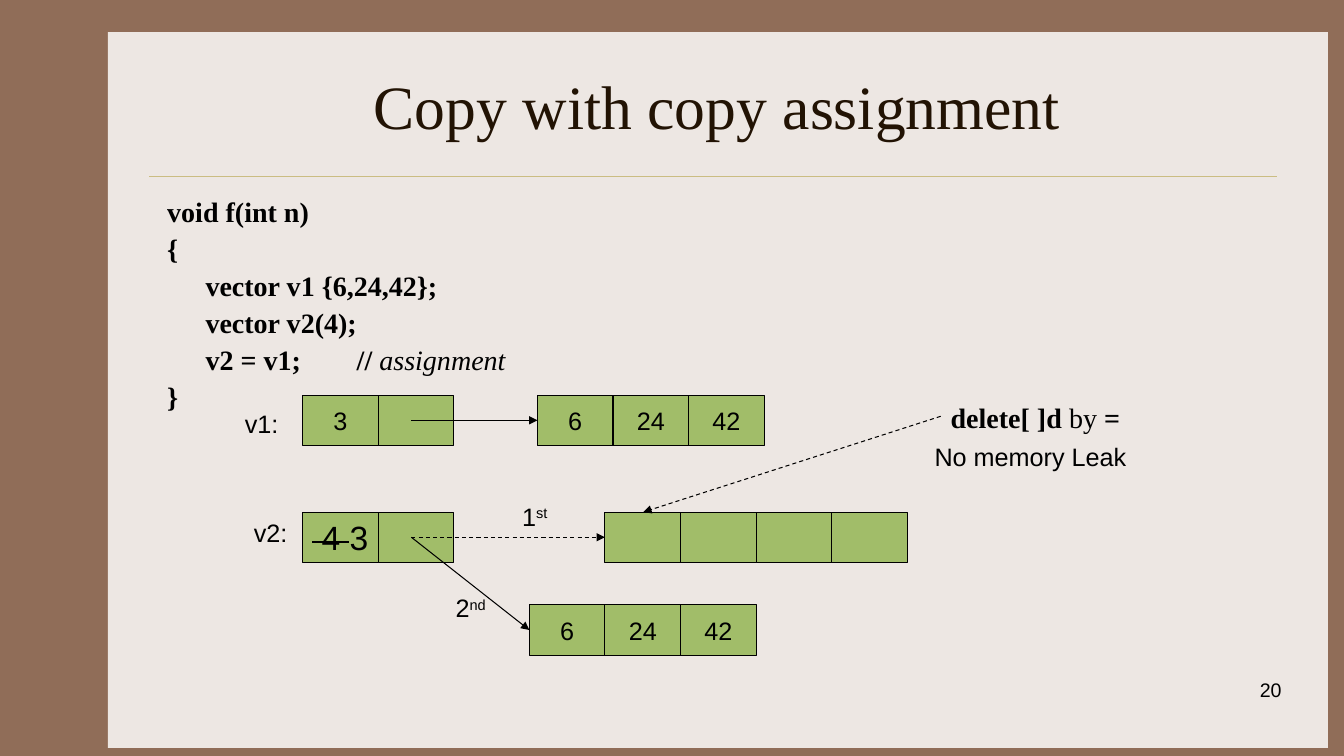
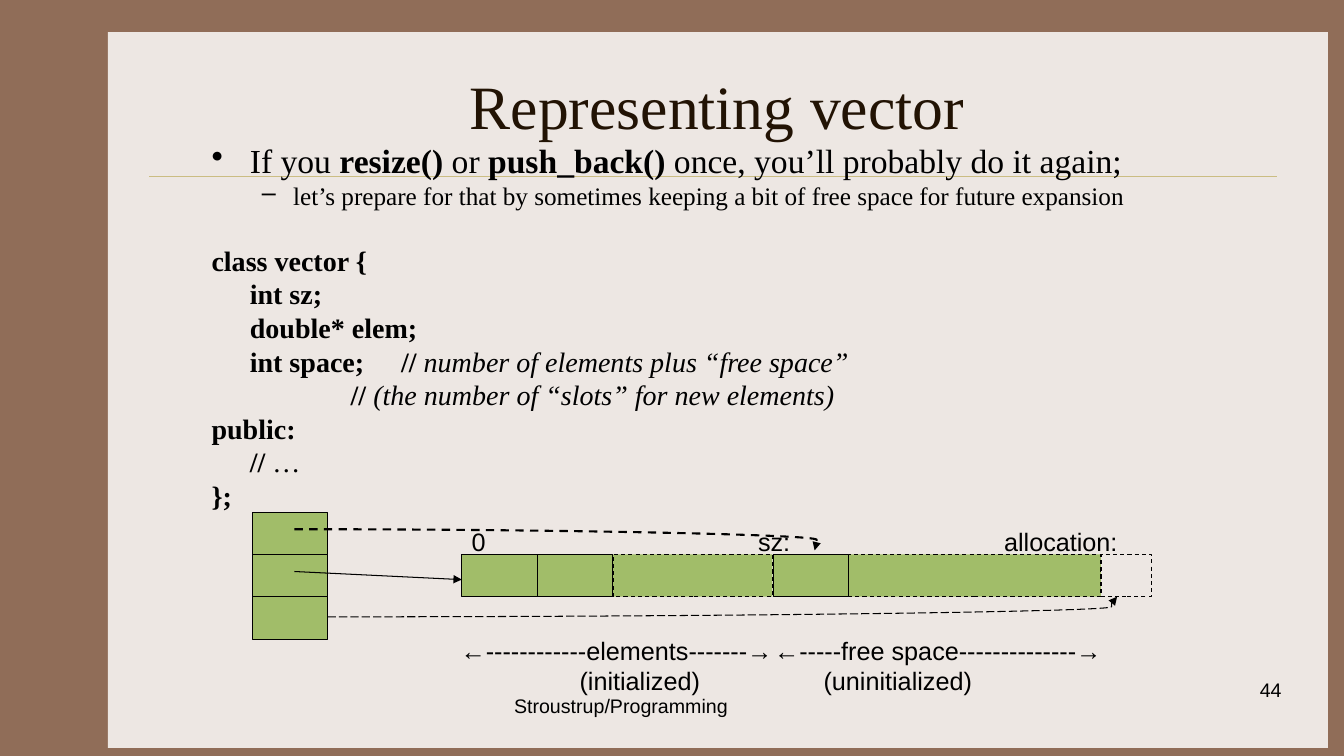
from dataclasses import dataclass
from lxml import etree
from pptx import Presentation
from pptx.dml.color import RGBColor
from pptx.enum.dml import MSO_LINE
from pptx.enum.shapes import MSO_CONNECTOR as CONN, MSO_SHAPE as SHAPE
from pptx.enum.text import MSO_ANCHOR as ANCHOR, PP_ALIGN as ALIGN
from pptx.oxml.ns import qn
from pptx.util import Inches, Pt


@dataclass(frozen=True)
class Theme:
    """Colours, fonts and type sizes of the deck."""
    frame: RGBColor = RGBColor.from_string("906D58")
    panel: RGBColor = RGBColor.from_string("EDE7E3")
    rule: RGBColor = RGBColor.from_string("CBBD83")
    title: RGBColor = RGBColor.from_string("221304")
    ink: RGBColor = RGBColor.from_string("000000")
    cell: RGBColor = RGBColor.from_string("A1BD69")
    serif: str = "Times New Roman"
    sans: str = "Arial"
    title_size: int = 44
    lead_size: int = 24
    code_size: int = 20
    label_size: int = 18
    small_size: int = 14


T = Theme()
MARKS = {"s": ("strike", "sngStrike"), "^": ("baseline", "30000")}


def write(tf, paras, size=T.label_size, name=T.sans, color=T.ink, align=ALIGN.LEFT):
    """Fill a text frame; a paragraph is a list of (text, marks) runs."""
    for n, runs in enumerate(paras):
        p = tf.add_paragraph() if n else tf.paragraphs[0]
        p.alignment = align
        for text, marks in runs:
            r = p.add_run()
            r.text = text
            for key, value in dict(size=Pt(size), name=name, bold="b" in marks,
                                   italic="i" in marks).items():
                setattr(r.font, key, value)
            r.font.color.rgb = color
            for mark in set(marks) & set(MARKS):
                r._r.get_or_add_rPr().set(*MARKS[mark])


def cell(s, left, top, width=0.75, height=0.5, runs=(), fill=T.cell, dash=None):
    """Draw one memory cell with optional centred text."""
    sp = s.shapes.add_shape(SHAPE.RECTANGLE, *map(Inches, (left, top, width, height)))
    sp.shadow.inherit = False
    if fill is None:
        sp.fill.background()
    else:
        sp.fill.solid()
        sp.fill.fore_color.rgb = fill
    sp.line.color.rgb = T.ink
    sp.line.width = Pt(0.75)
    if dash:
        sp.line.dash_style = dash
    if runs:
        tf = sp.text_frame
        tf.word_wrap = False
        tf.vertical_anchor = ANCHOR.MIDDLE
        write(tf, [runs], align=ALIGN.CENTER)
    return sp


prs = Presentation()
prs.slide_width, prs.slide_height = Inches(13.33), Inches(7.5)
layout = prs.slide_layouts[5]
fill = prs.slide_master.background.fill
fill.solid()
fill.fore_color.rgb = T.frame

# Titles and page numbers
slides = []
for title, number in (("Copy with copy assignment", "20"), ("Representing vector", "44")):
    s = prs.slides.add_slide(layout)
    sp = s.shapes.title
    for key, value in dict(left=1.56, top=0.42, width=11.11, height=1.25).items():
        setattr(sp, key, Inches(value))
    sp.text_frame.vertical_anchor = ANCHOR.MIDDLE
    write(sp.text_frame, [[(title, "")]], T.title_size, T.serif, T.title, ALIGN.CENTER)
    tf = s.shapes.add_textbox(*map(Inches, (10.03, 6.68, 2.78, 0.5))).text_frame
    tf.word_wrap = True
    write(tf, [[(number, "")]], T.small_size, align=ALIGN.RIGHT)
    slides.append(s)
assign, represent = slides

# Panel and title rule, moved to the shared layout
panel = cell(assign, 1.07, 0.32, 12.1, 7.1, fill=T.panel)
panel.line.fill.background()
rule = assign.shapes.add_connector(CONN.STRAIGHT, *map(Inches, (1.48, 1.75, 12.67, 1.75)))
rule.line.color.rgb = T.rule
rule.line.width = Pt(0.25)
etree.SubElement(rule.element.spPr, qn("a:effectLst"))
for place, sp in enumerate((panel, rule), start=2):
    layout.shapes.element.insert(place, sp.element)

# Code listings
assign_code = [
    [("void f(int n)", "b")],
    [("{", "b")],
    [("\tvector v1 {6,24,42};", "b")],
    [("\tvector v2(4);", "b")],
    [("\tv2 = v1;\t\t// ", "b"), ("assignment", "i")],
    [("}", "b")],
]
represent_code = [
    [("If you", ""), (" resize() ", "b"), ("or ", ""), ("push_back() ", "b"),
     ("once, you’ll probably do it again;", "")],
    [("let’s prepare for that by sometimes keeping a bit of free space "
      "for future expansion", "")],
    [("class vector {", "b")],
    [("\tint sz;", "b")],
    [("\tdouble* elem;", "b")],
    [("\tint space;\t// ", "b"), ("number of elements plus “free space”", "i")],
    [("\t\t\t// ", "b"), ("(the number of “slots” for new elements)", "i")],
    [("public:", "b")],
    [("\t// ", "b"), ("…", "")],
    [("};", "b")],
]
bodies = []
for s, at, paras, leading in (
        (assign, (1.56, 1.92, 11.11, 4.5), assign_code, 0.9),
        (represent, (2, 1.42, 9.5, 3.83), represent_code, 0.8)):
    tf = s.shapes.add_textbox(*map(Inches, at)).text_frame
    tf.word_wrap = True
    write(tf, paras, T.code_size, T.serif)
    for n, p in enumerate(tf.paragraphs):
        p.line_spacing = leading
        p.space_before = Pt(4.8 if n else 0)
        pPr = p._p.get_or_add_pPr()
        pPr.set("marL", str(Inches(0.38)))
        pPr.set("indent", str(Inches(-0.38)))
    bodies.append(tf.paragraphs)

lead, detail, class_line = bodies[1][:3]
class_line.space_before = Pt(28)
detail.level = 1
detail.space_before = Pt(4.3)
for p, size, margin, hang, bullet in ((lead, T.lead_size, 0.38, 0.38, "•"),
                                      (detail, T.label_size, 0.81, 0.31, "–")):
    for r in p.runs:
        r.font.size = Pt(size)
    pPr = p._p.get_or_add_pPr()
    pPr.set("marL", str(Inches(margin)))
    pPr.set("indent", str(Inches(-hang)))
    etree.SubElement(pPr, qn("a:buChar")).set("char", bullet)

# Vector headers and element rows
for left, top, values in ((3, 3.92, ("3", "")), (5.33, 3.92, ("6", "24", "42")),
                          (3, 5.08, ("4", "")), (6, 5.08, ("",) * 4),
                          (5.25, 6, ("6", "24", "42"))):
    for n, value in enumerate(values):
        runs = [(value, "")] if value else ()
        if value == "4":
            runs = [(" 4 ", "s"), ("3", "")]
        sp = cell(assign, left + 0.75 * n, top, runs=runs)
        if value == "4":
            for r in sp.text_frame.paragraphs[0].runs:
                r.font.size = Pt(T.lead_size)

for n in range(3):
    cell(represent, 2.5, 5.08 + 0.42 * n, height=0.42)
for left, width, color, dash in (
        (4.58, 0.75, T.cell, None), (5.33, 0.75, T.cell, None),
        (6.08, 1.58, T.cell, MSO_LINE.DASH), (8.42, 2.5, T.cell, MSO_LINE.DASH),
        (7.67, 0.75, T.cell, None), (10.92, 0.5, None, MSO_LINE.DASH)):
    cell(represent, left, 5.5, width, 0.42, fill=color, dash=dash)

# Labels; the last value indents the second line
for s, at, paras, indent in (
        (assign, (2.33, 4, 0.67, 0.4), [[("v1:", "")]], 0),
        (assign, (2.42, 5.08, 0.67, 0.4), [[("v2:", "")]], 0),
        (assign, (4.42, 5.83, 1.08, 0.4), [[("2", ""), ("nd", "^")]], 0),
        (assign, (5.08, 4.92, 1.08, 0.4), [[("1", ""), ("st", "^")]], 0),
        (assign, (9.17, 4.33, 2.25, 0.4), [[("No memory Leak", "")]], 0),
        (represent, (9.86, 5.17, 1.39, 0.4), [[("allocation:", "")]], 0),
        (represent, (7.42, 5.17, 1.08, 0.4), [[("sz:", "")]], 0),
        (represent, (4.58, 5.17, 3.33, 0.4), [[("0", "")]], 0),
        (represent, (4.47, 6.25, 3.36, 0.7),
         [[("←------------elements-------→", "")], [("(initialized)", "")]], 1.18),
        (represent, (7.58, 6.25, 3.83, 0.7),
         [[("←-----free space--------------→", "")], [("(uninitialized)", "")]], 0.49)):
    tf = s.shapes.add_textbox(*map(Inches, at)).text_frame
    tf.word_wrap = True
    write(tf, paras)
    if indent:
        tf.paragraphs[1]._p.get_or_add_pPr().set("marL", str(Inches(indent)))

tf = assign.shapes.add_textbox(*map(Inches, (9.33, 3.92, 2.08, 0.43))).text_frame
tf.word_wrap = True
write(tf, [[("delete[ ]d ", "b"), ("by", ""), (" =", "b")]], T.code_size, T.serif)
tf = represent.shapes.add_textbox(*map(Inches, (5, 6.83, 3.17, 0.52))).text_frame
tf.word_wrap = True
write(tf, [[("Stroustrup/Programming", "")]], T.small_size)

# Pointers; a bend makes the arrow curved
for s, ends, dash, weight, bend in (
        (assign, (4.08, 4.17, 5.33, 4.17), None, 0.75, None),
        (assign, (4.08, 5.33, 5.25, 6.25), None, 0.75, None),
        (assign, (4.08, 5.33, 6, 5.33), MSO_LINE.DASH, 0.75, None),
        (assign, (9.33, 4.13, 6.38, 5.08), MSO_LINE.DASH, 0.75, None),
        (represent, (2.92, 5.67, 4.58, 5.75), None, 0.75, None),
        (represent, (3.25, 6.12, 11.08, 5.92), MSO_LINE.LONG_DASH, 0.75, 99300),
        (represent, (2.92, 5.25, 8.08, 5.46), MSO_LINE.DASH, 1.5, 100400)):
    kind = CONN.CURVE if bend else CONN.STRAIGHT
    arrow = s.shapes.add_connector(kind, *map(Inches, ends))
    arrow.line.color.rgb = T.ink
    arrow.line.width = Pt(weight)
    if dash:
        arrow.line.dash_style = dash
    spPr = arrow.element.spPr
    etree.SubElement(spPr.find(qn("a:ln")), qn("a:tailEnd")).set("type", "triangle")
    etree.SubElement(spPr, qn("a:effectLst"))
    if bend:
        guide = etree.SubElement(spPr.find(".//" + qn("a:avLst")), qn("a:gd"))
        guide.set("name", "adj1")
        guide.set("fmla", f"val {bend}")

prs.save("out.pptx")
